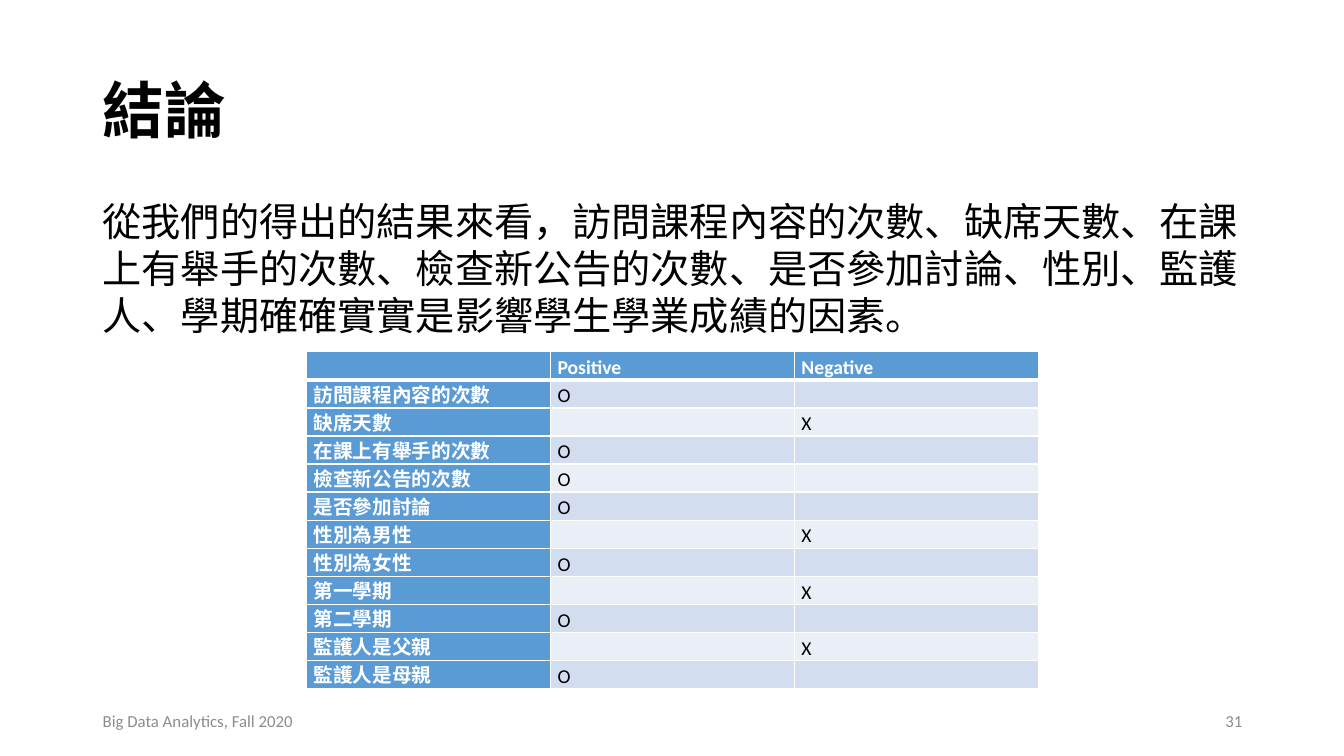
from lxml import etree
from pptx import Presentation
from pptx import util as u
from pptx.dml.color import RGBColor
from pptx.enum import text
from pptx.oxml import ns

CJK = "Noto Sans CJK TC"
BLUE, WHITE, BLACK, GREY = "5B9BD5", "FFFFFF", "000000", "8C8C8C"
BANDS = ("D2DEEF", "EAEFF7")
FACTORS = [
    ("訪問課程內容的次數", "O"),
    ("缺席天數", "X"),
    ("在課上有舉手的次數", "O"),
    ("檢查新公告的次數", "O"),
    ("是否參加討論", "O"),
    ("性別為男性", "X"),
    ("性別為女性", "O"),
    ("第一學期", "X"),
    ("第二學期", "O"),
    ("監護人是父親", "X"),
    ("監護人是母親", "O"),
]
SUMMARY = (
    "從我們的得出的結果來看，訪問課程內容的次數、缺席天數、在課上有舉手的次數、"
    "檢查新公告的次數、是否參加討論、性別、監護人、學期確確實實是影響學生學業成績的因素。"
)


def color(value):
    return RGBColor.from_string(value)


def write(frame, words, size, font="Calibri", fill=BLACK, bold=False,
          align=text.PP_ALIGN.LEFT, spacing=None):
    para = frame.paragraphs[0]
    para.alignment = align
    para.line_spacing = spacing
    para.font.size = u.Pt(size)
    if words:
        span = para.add_run()
        span.text = words
        span.font.size = u.Pt(size)
        span.font.bold = bold
        span.font.color.rgb = color(fill)
        span.font.name = font
        etree.SubElement(span.font._element, ns.qn("a:ea"), typeface=CJK)


def add_text(page, box, words, anchor=text.MSO_ANCHOR.MIDDLE, top_inset=0.05, **style):
    frame = page.shapes.add_textbox(*map(u.Inches, box)).text_frame
    frame.word_wrap = True
    frame.vertical_anchor = anchor
    frame.margin_top = u.Inches(top_inset)
    write(frame, words, **style)


def add_borders(cell, bottom):
    properties = cell._tc.get_or_add_tcPr()
    for index, (side, points) in enumerate(
            (("lnL", 1), ("lnR", 1), ("lnT", 1), ("lnB", bottom))):
        line = etree.Element(ns.qn(f"a:{side}"), w=str(u.Pt(points)))
        fill = etree.SubElement(line, ns.qn("a:solidFill"))
        etree.SubElement(fill, ns.qn("a:srgbClr"), val=WHITE)
        properties.insert(index, line)


def add_factor_table(page, box):
    rows = [("", "Positive", "Negative")]
    for factor, mark in FACTORS:
        rows.append((factor, mark if mark == "O" else "", mark if mark == "X" else ""))
    table = page.shapes.add_table(len(rows), 3, *map(u.Inches, box)).table
    for column in table.columns:
        column.width = u.Inches(box[2] / 3)
    for r, row in enumerate(rows):
        table.rows[r].height = u.Inches(box[3] / len(rows))
        for c, words in enumerate(row):
            cell = table.cell(r, c)
            heading = r == 0 or c == 0
            cell.margin_left = cell.margin_right = u.Inches(0.07)
            cell.margin_top = cell.margin_bottom = 0
            cell.fill.solid()
            cell.fill.fore_color.rgb = color(BLUE if heading else BANDS[(r - 1) % 2])
            add_borders(cell, bottom=3 if r == 0 else 1)
            write(cell.text_frame, words, size=14, bold=heading,
                  fill=WHITE if heading else BLACK, spacing=u.Pt(20))


def add_footer(page, box):
    left, top, width, height = box
    part = 3
    add_text(page, (left, top, part, height), "Big Data Analytics, Fall 2020",
             size=12, fill=GREY)
    add_text(page, (left + width - part, top, part, height), "31",
             size=12, fill=GREY, align=text.PP_ALIGN.RIGHT)


def main():
    deck = Presentation()
    deck.slide_width, deck.slide_height = u.Inches(13.33), u.Inches(7.5)
    page = deck.slides.add_slide(deck.slide_layouts[6])
    left, width = 0.92, 11.5
    add_text(page, (left, 0.4, width, 1.45), "結論",
             size=44, font=CJK, bold=True, spacing=0.9)
    add_footer(page, (left, 6.95, width, 0.4))
    add_text(page, (left, 1.87, width, 1.51), SUMMARY, anchor=text.MSO_ANCHOR.TOP,
             top_inset=0.09, size=28, font=CJK, spacing=u.Pt(33.6))
    add_factor_table(page, (3.04, 3.49, 7.26, 3.12))
    deck.save("out.pptx")


if __name__ == "__main__":
    main()
